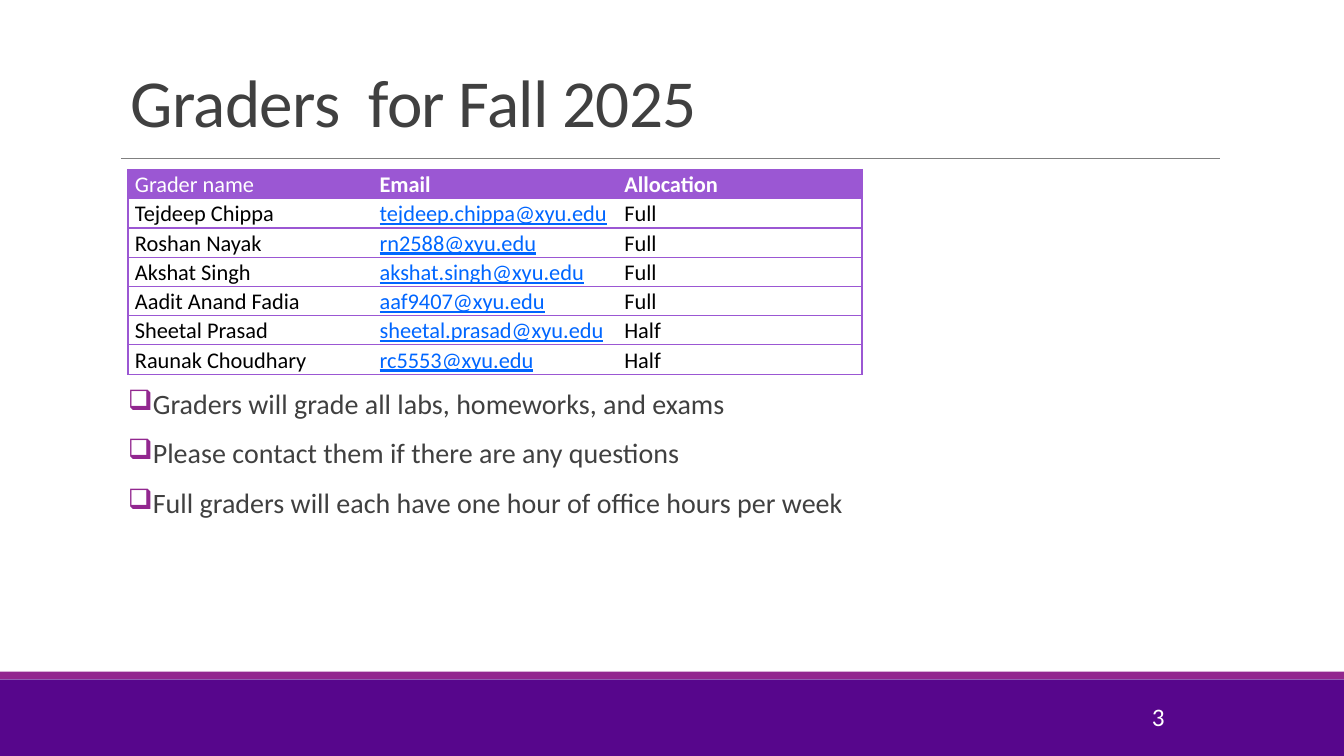
"""Build the slide that lists the graders for Fall 2025."""
from lxml import etree
from pptx import Presentation
from pptx.dml.color import RGBColor
from pptx.enum.shapes import MSO_CONNECTOR, MSO_SHAPE
from pptx.enum.text import MSO_ANCHOR, PP_ALIGN
from pptx.oxml.ns import qn
from pptx.util import Pt

RECTANGLE = MSO_SHAPE.RECTANGLE
STRAIGHT = MSO_CONNECTOR.STRAIGHT
TOP, MIDDLE, BOTTOM = MSO_ANCHOR.TOP, MSO_ANCHOR.MIDDLE, MSO_ANCHOR.BOTTOM
LEFT, RIGHT = PP_ALIGN.LEFT, PP_ALIGN.RIGHT

WIDTH, HEIGHT = 960, 540
INK, WHITE, BLACK, LINK = "404040", "FFFFFF", "000000", "0066FF"
DEEP_PURPLE, MAGENTA, LILAC, GREY = "57068C", "92278F", "9B57D3", "808080"

HEADINGS = ("Grader name", "Email", "Allocation")
GRADERS = (
    ("Tejdeep Chippa", "tejdeep.chippa@xyu.edu", "Full"),
    ("Roshan Nayak", "rn2588@xyu.edu", "Full"),
    ("Akshat Singh", "akshat.singh@xyu.edu", "Full"),
    ("Aadit Anand Fadia", "aaf9407@xyu.edu", "Full"),
    ("Sheetal Prasad", "sheetal.prasad@xyu.edu", "Half"),
    ("Raunak Choudhary", "rc5553@xyu.edu", "Half"),
)
NOTES = (
    "Graders will grade all labs, homeworks, and exams",
    "Please contact them if there are any questions",
    "Full graders will each have one hour of office hours per week",
)


def colour(code):
    return RGBColor.from_string(code)


def assign(target, values):
    for name, value in values.items():
        setattr(target, name, value)


class SlideBuilder:
    """Hold the style and the current page, and add elements to it."""

    font_name = "Calibri"

    def __init__(self, page):
        self.page = page

    def bar(self, top, height, fill):
        shape = self.page.shapes.add_shape(RECTANGLE, 0, Pt(top), Pt(WIDTH), Pt(height))
        shape.shadow.inherit = False
        shape.fill.solid()
        shape.fill.fore_color.rgb = colour(fill)
        shape.line.fill.background()

    def rule(self, left, right, top, code, weight):
        line = self.page.shapes.add_connector(STRAIGHT, Pt(left), Pt(top), Pt(right), Pt(top))
        line.line.color.rgb = colour(code)
        line.line.width = Pt(weight)
        etree.SubElement(line._element.spPr, qn("a:effectLst"))

    def add_span(self, para, text, size, code, **font):
        span = para.add_run()
        span.text = text
        assign(span.font, {"name": self.font_name, "size": Pt(size), **font})
        span.font.color.rgb = colour(code)
        return span

    def text(self, left, top, width, height, lines, size, code,
             anchor=TOP, inset=7.2, spacing=0, bullet=None, **layout):
        box = self.page.shapes.add_textbox(Pt(left), Pt(top), Pt(width), Pt(height))
        frame = box.text_frame
        assign(frame, {"word_wrap": True, "vertical_anchor": anchor,
                       "margin_left": Pt(inset), "margin_right": Pt(inset)})
        for index, words in enumerate(lines):
            para = frame.paragraphs[0] if index == 0 else frame.add_paragraph()
            assign(para, layout)
            span = self.add_span(para, words, size, code)
            if spacing:
                span._r.get_or_add_rPr().set("spc", str(int(spacing * 100)))
            if bullet:
                self.bullet(para, *bullet)

    def bullet(self, para, symbol, code, indent):
        properties = para._p.get_or_add_pPr()
        properties.set("marL", str(Pt(indent)))
        properties.set("indent", str(-Pt(indent)))
        holder = etree.SubElement(properties, qn("a:buClr"))
        etree.SubElement(holder, qn("a:srgbClr"), val=code)
        etree.SubElement(properties, qn("a:buChar"), char=symbol)

    def borders(self, cell, sides, code):
        properties = cell._tc.get_or_add_tcPr()
        for side in "LRTB":
            edge = etree.SubElement(properties, qn(f"a:ln{side}"), w=str(Pt(1)))
            if side in sides:
                fill = etree.SubElement(edge, qn("a:solidFill"))
                etree.SubElement(fill, qn("a:srgbClr"), val=code)
            else:
                etree.SubElement(edge, qn("a:noFill"))

    def table(self, left, top, column_width, row_height, rows):
        count = len(rows[0])
        frame = self.page.shapes.add_table(
            len(rows), count, Pt(left), Pt(top),
            Pt(column_width * count), Pt(row_height * len(rows)))
        grid = frame.table
        assign(grid, {"first_row": False, "horz_banding": False})
        for column in grid.columns:
            column.width = Pt(column_width)
        for row_index, values in enumerate(rows):
            grid.rows[row_index].height = Pt(row_height)
            for column_index, words in enumerate(values):
                cell = grid.cell(row_index, column_index)
                sides = "TB" + "L" * (column_index == 0) + "R" * (column_index == count - 1)
                self.borders(cell, sides, LILAC)
                self.cell(cell, words, row_index == 0, column_index)

    def cell(self, cell, words, is_header, column_index):
        assign(cell, {"margin_left": Pt(5), "margin_right": Pt(5),
                      "margin_top": 0, "margin_bottom": 0})
        para = cell.text_frame.paragraphs[0]
        para.line_spacing = 1.07
        is_link = column_index == 1 and not is_header
        if is_header:
            cell.fill.solid()
            cell.fill.fore_color.rgb = colour(LILAC)
        else:
            cell.fill.background()
        code = WHITE if is_header else LINK if is_link else BLACK
        self.add_span(para, words, 16, code,
                      bold=is_header and column_index > 0, underline=is_link)


def main():
    deck = Presentation()
    assign(deck, {"slide_width": Pt(WIDTH), "slide_height": Pt(HEIGHT)})
    builder = SlideBuilder(deck.slides.add_slide(deck.slide_layouts[6]))
    builder.bar(485.3, 54.7, DEEP_PURPLE)
    builder.bar(479.8, 5.2, MAGENTA)
    builder.rule(86.4, 871.2, 113, GREY, 0.5)
    builder.text(86.4, 22.3, 792, 82, ["Graders  for Fall 2025"], 48, INK,
                 anchor=BOTTOM, spacing=-0.5, alignment=LEFT, line_spacing=0.85)
    builder.text(91.4, 275, 770, 175, NOTES, 20, INK, inset=0,
                 bullet=("❑", MAGENTA, 7.2), line_spacing=0.9,
                 space_before=Pt(12), space_after=Pt(2))
    builder.text(736, 497.5, 103, 28.8, ["3"], 18, WHITE,
                 anchor=MIDDLE, alignment=RIGHT)
    builder.table(91.4, 121, 174.8, 20.9, (HEADINGS, *GRADERS))
    deck.save("out.pptx")


if __name__ == "__main__":
    main()
